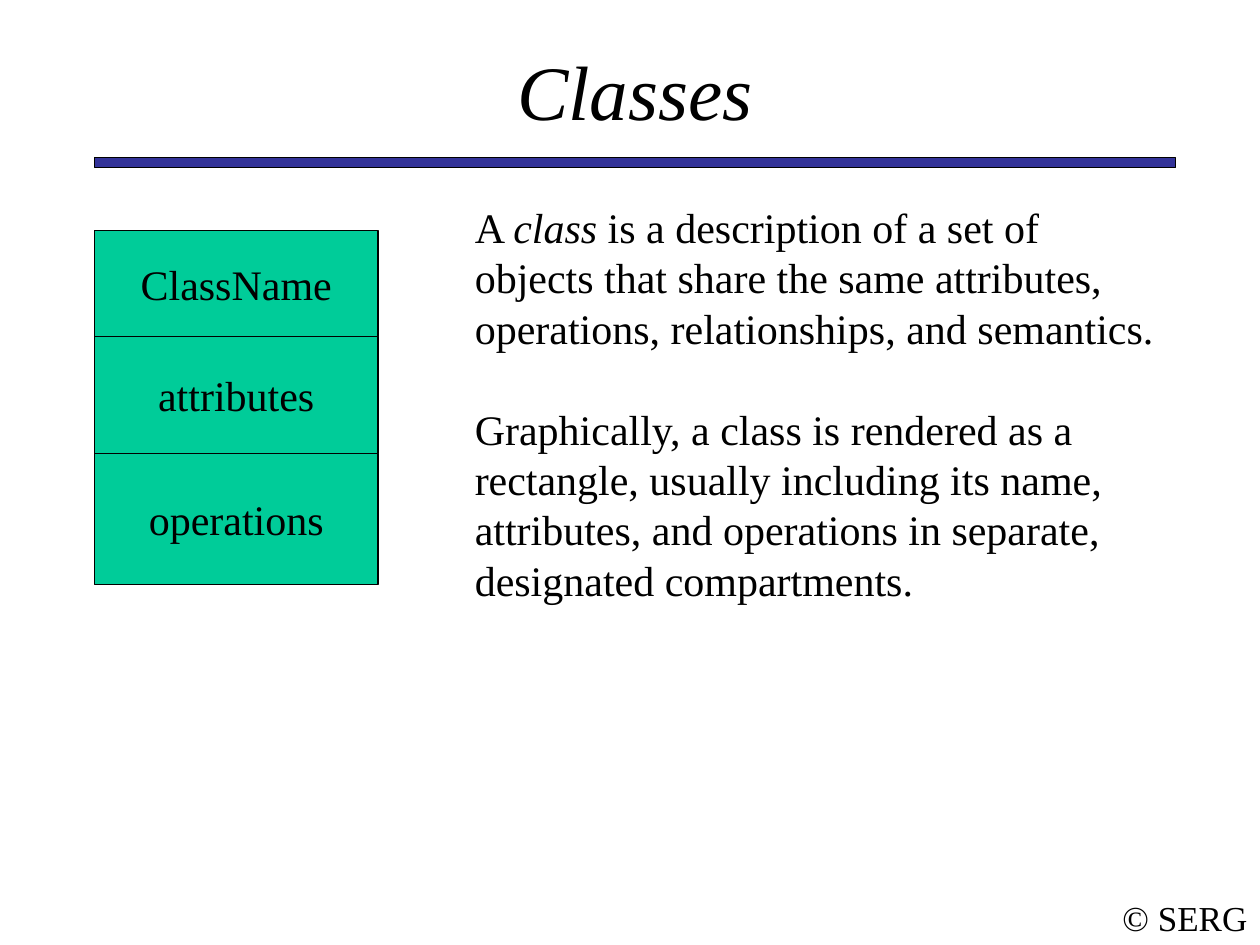
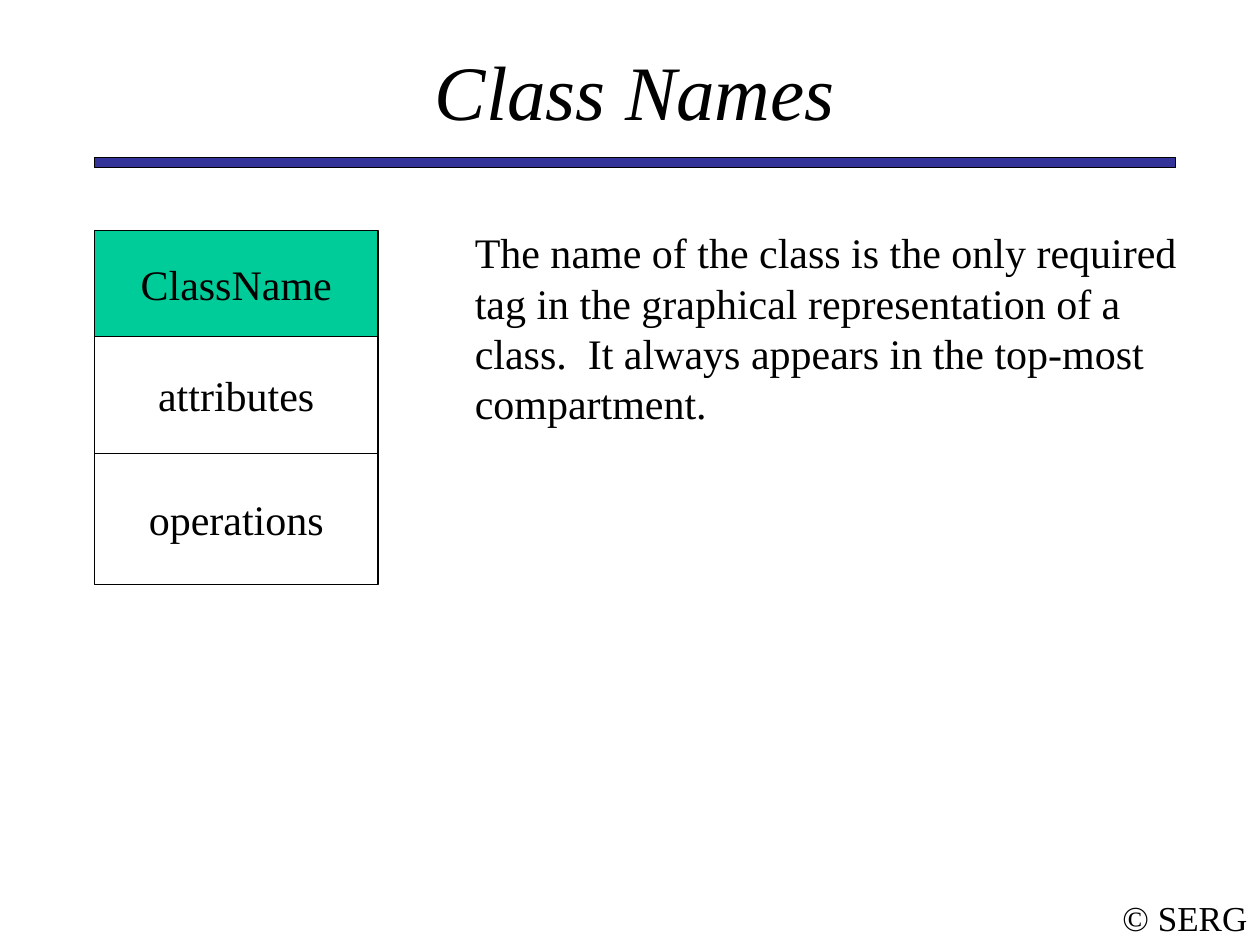
from pptx import Presentation
from pptx.dml.color import RGBColor
from pptx.enum.shapes import MSO_SHAPE
from pptx.enum.text import MSO_ANCHOR, MSO_AUTO_SIZE, PP_ALIGN
from pptx.util import Inches, Pt

COLORS = {"ink": "000000", "paper": "FFFFFF", "bar": "333399", "highlight": "00CC99"}
FONT = "Times New Roman"
BODY_SIZE, BODY_LEADING = 24, 28.8
LEFT, CONTENT_WIDTH = 0.75, 8.58
FOOTER = "© SERG"

COMPARTMENTS = ["ClassName", "attributes", "operations"]
COMPARTMENT_EDGES = [1.83, 2.67, 3.6, 4.64]
CLASS_WIDTH = 2.25

# Body: blocks of lines, each line a list of (text, italic) runs.
SLIDES = [
    {
        "title": "Classes",
        "highlighted": COMPARTMENTS,
        "body_box": (3.67, 1.55, 6.07, 3.3),
        "body": [
            [
                [("A ", False), ("class", True), (" is a description of a set of", False)],
                [("objects that share the same attributes,", False)],
                [("operations, relationships, and semantics.", False)],
            ],
            [
                [("Graphically, a class is rendered as a", False)],
                [("rectangle, usually including its name,", False)],
                [("attributes, and operations in separate,", False)],
                [("designated compartments.", False)],
            ],
        ],
    },
    {
        "title": "Class Names",
        "highlighted": ["ClassName"],
        "body_box": (3.67, 1.75, 6, 1.7),
        "body": [
            [
                [("The name of the class is the only required tag in the graphical "
                  "representation of a class.  It always appears in the top-most "
                  "compartment.", False)],
            ],
        ],
    },
]


def color(name):
    return RGBColor.from_string(COLORS[name])


def add_run(p, text, size, italic=False):
    r = p.add_run()
    r.text = text
    r.font.name = FONT
    r.font.size = Pt(size)
    r.font.italic = italic
    r.font.color.rgb = color("ink")


def write_centered(tf, text, size, italic=False, wrap=False):
    tf.word_wrap = wrap
    tf.auto_size = MSO_AUTO_SIZE.NONE
    tf.vertical_anchor = MSO_ANCHOR.MIDDLE
    p = tf.paragraphs[0]
    p.alignment = PP_ALIGN.CENTER
    add_run(p, text, size, italic)


def add_rect(shapes, x, y, w, h, fill):
    sp = shapes.add_shape(MSO_SHAPE.RECTANGLE, Inches(x), Inches(y), Inches(w), Inches(h))
    sp.shadow.inherit = False
    sp.fill.solid()
    sp.fill.fore_color.rgb = color(fill)
    sp.line.color.rgb = color("ink")
    sp.line.width = Pt(0.75)
    return sp


def add_frame(s, title):
    """Add what every slide shares: title, bar and footer."""
    sp = s.shapes.title
    sp.left, sp.top = Inches(LEFT), Inches(0.42)
    sp.width, sp.height = Inches(CONTENT_WIDTH), Inches(0.58)
    write_centered(sp.text_frame, title, 44, italic=True, wrap=True)
    add_rect(s.shapes, LEFT, 1.25, CONTENT_WIDTH, 0.08, "bar")
    footer = s.shapes.add_textbox(Inches(8.81), Inches(7.06), Inches(1.19), Inches(0.44))
    write_centered(footer.text_frame, FOOTER, 20)


def add_class_diagram(s, highlighted):
    group = s.shapes.add_group_shape()
    for name, top, bottom in zip(COMPARTMENTS, COMPARTMENT_EDGES, COMPARTMENT_EDGES[1:]):
        fill = "highlight" if name in highlighted else "paper"
        sp = add_rect(group.shapes, LEFT, top, CLASS_WIDTH, bottom - top, fill)
        write_centered(sp.text_frame, name, BODY_SIZE)


def add_body(s, box, blocks):
    tf = s.shapes.add_textbox(*map(Inches, box)).text_frame
    tf.word_wrap = True
    tf.auto_size = MSO_AUTO_SIZE.SHAPE_TO_FIT_TEXT
    p = None
    for block in blocks:
        for i, line in enumerate(block):
            starts_later_block = p is not None and i == 0
            p = tf.paragraphs[0] if p is None else tf.add_paragraph()
            p.line_spacing = Pt(BODY_LEADING)
            if starts_later_block:
                p.space_before = Pt(BODY_LEADING)
            for text, italic in line:
                add_run(p, text, BODY_SIZE, italic)


def main():
    prs = Presentation()
    prs.slide_width, prs.slide_height = Inches(10), Inches(7.5)
    title_only = prs.slide_layouts[5]
    for content in SLIDES:
        s = prs.slides.add_slide(title_only)
        add_frame(s, content["title"])
        add_class_diagram(s, content["highlighted"])
        add_body(s, content["body_box"], content["body"])
    prs.save("out.pptx")


if __name__ == "__main__":
    main()
